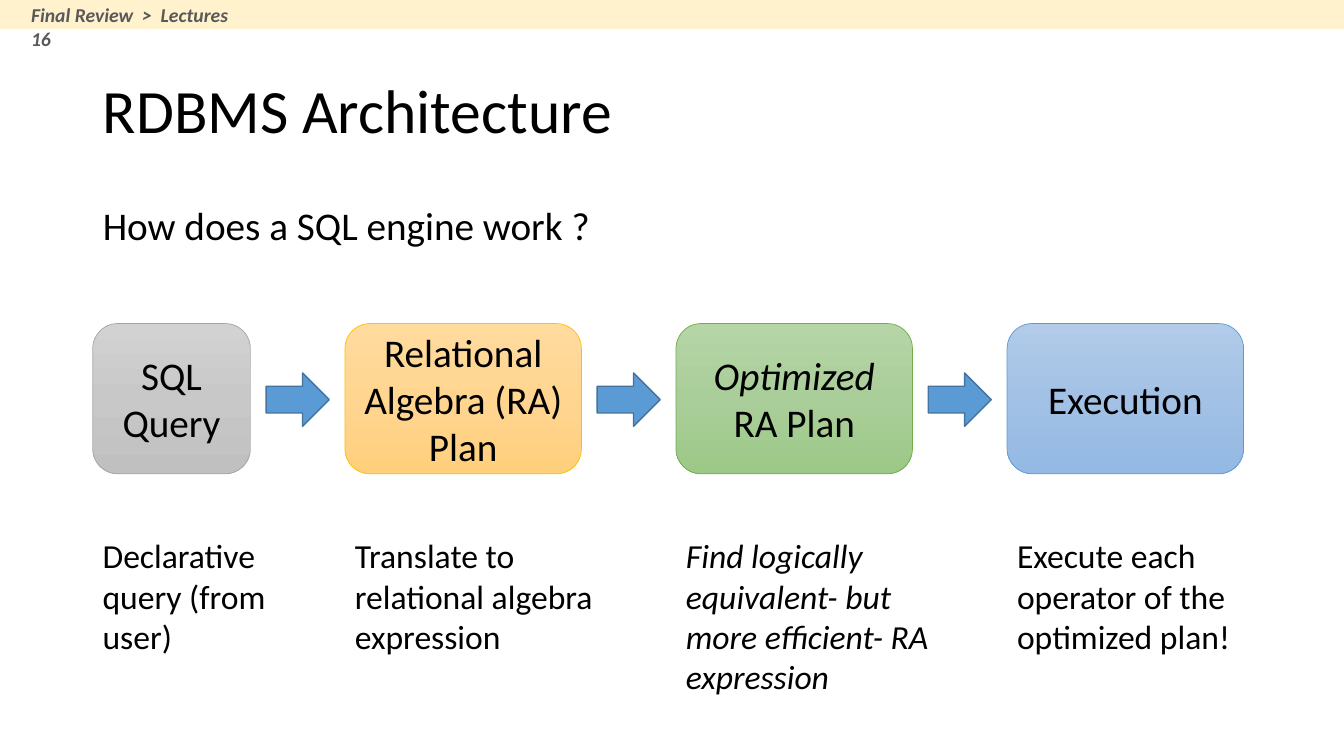
from copy import deepcopy
from dataclasses import dataclass

from pptx import Presentation
from pptx.dml.color import RGBColor
from pptx.enum.shapes import MSO_SHAPE as Preset
from pptx.enum.text import MSO_ANCHOR as Anchor, MSO_AUTO_SIZE as AutoSize, PP_ALIGN as Align
from pptx.oxml.ns import qn
from pptx.util import Emu, Inches, Pt


@dataclass(frozen=True)
class Theme:
    font: str = "Calibri"
    ink: str = "000000"
    header_ink: str = "595959"
    header_fill: str = "FFF2CC"
    arrow_fill: str = "5B9BD5"
    arrow_line: str = "43739E"
    title: int = 44
    body: int = 28
    caption: int = 24
    header: int = 14


@dataclass(frozen=True)
class Area:
    """A place on the grid, in columns and rows."""
    left: float
    top: float
    width: float
    height: float

    def emu(self) -> tuple:
        return (Emu(round(self.left * COL)), Emu(round(self.top * ROW)),
                Emu(round(self.width * COL)), Emu(round(self.height * ROW)))


@dataclass(frozen=True)
class Stage:
    spans: tuple  # (text, italic) pairs
    columns: float
    gradient: tuple
    line: str
    caption: str
    caption_columns: float
    caption_rows: float = 13.1
    caption_italic: bool = False


THEME = Theme()
WIDTH, HEIGHT = Inches(13.333), Inches(7.5)
COL, ROW = WIDTH / 85.25, HEIGHT / 75
MARGIN = 5.88
CONTENT = 73.53
GAP, ARROW_OFFSET, ARROW_COLUMNS = 6, 1, 4

STAGES = (
    Stage((("SQL Query", False),), 10, ("D2D2D2", "C8C8C8", "C0C0C0"), "A5A5A5",
          "Declarative query (from user)", 12.72),
    Stage((("Relational Algebra (RA) Plan", False),), 15,
          ("FFDB9E", "FFD590", "FFD07C"), "FFC000",
          "Translate to relational algebra expression", 17.26),
    Stage((("Optimized", True), (" RA Plan", False)), 15,
          ("B5D5A7", "AACE9A", "9CC987"), "70AD47",
          "Find logically equivalent- but more efficient- RA expression", 17.26,
          caption_rows=17.2, caption_italic=True),
    Stage((("Execution", False),), 15, ("B1CBE9", "A3C1E5", "93B9E4"), "5B9BD5",
          "Execute each operator of the optimized plan!", 17.26),
)


def write(box, spans, *, size: int, color: str = THEME.ink, bold: bool = False,
          align=Align.LEFT, anchor=Anchor.TOP, fit=AutoSize.NONE, line_spacing: float = 1.0,
          space_before: float = 0):
    """Fill a shape with one paragraph of (text, italic) spans."""
    frame = box.text_frame
    frame.word_wrap = True
    frame.auto_size = fit
    frame.vertical_anchor = anchor
    para = frame.paragraphs[0]
    para.alignment = align
    para.line_spacing = line_spacing
    para.space_before = Pt(space_before)
    for text, italic in spans:
        span = para.add_run()
        span.text = text
        font = span.font
        font.name, font.size, font.bold, font.italic = THEME.font, Pt(size), bold, italic
        font.color.rgb = RGBColor.from_string(color)
    return para


def add_preset(page, preset, area: Area, fill: str | tuple, line: str | None = None,
               weight: float = 1):
    """Draw a preset shape with a plain fill or a downward gradient."""
    box = page.shapes.add_shape(preset, *area.emu())
    box.shadow.inherit = False
    if isinstance(fill, str):
        box.fill.solid()
        box.fill.fore_color.rgb = RGBColor.from_string(fill)
    else:
        box.fill.gradient()
        box.fill.gradient_angle = 270
        stops = box._element.spPr.find(f".//{qn('a:gsLst')}")
        stops.insert(1, deepcopy(stops[0]))
        for index, (stop, color) in enumerate(zip(box.fill.gradient_stops, fill)):
            stop.position = index / (len(fill) - 1)
            stop.color.rgb = RGBColor.from_string(color)
    if line:
        box.line.color.rgb = RGBColor.from_string(line)
        box.line.width = Pt(weight)
    else:
        box.line.fill.background()
    return box


def add_text(page, area: Area, text: str, *, italic: bool = False, **style) -> None:
    box = page.shapes.add_textbox(*area.emu())
    write(box, ((text, italic),), fit=AutoSize.SHAPE_TO_FIT_TEXT, **style)


def fill_placeholder(box, area: Area, text: str, **style):
    box.left, box.top, box.width, box.height = area.emu()
    return write(box, ((text, False),), line_spacing=0.9, **style)


def add_stage(page, stage: Stage, left: float) -> None:
    box = add_preset(page, Preset.ROUNDED_RECTANGLE, Area(left, 32.1, stage.columns, 14.9),
                     stage.gradient, stage.line, 0.5)
    write(box, stage.spans, size=THEME.body, align=Align.CENTER, anchor=Anchor.MIDDLE)
    add_text(page, Area(left, 52.6, stage.caption_columns, stage.caption_rows),
             stage.caption, italic=stage.caption_italic, size=THEME.caption)


def main() -> None:
    deck = Presentation()
    deck.slide_width, deck.slide_height = WIDTH, HEIGHT
    page = deck.slides.add_slide(deck.slide_layouts[1])

    # Title and question
    title, body = page.placeholders
    fill_placeholder(title, Area(MARGIN, 4, CONTENT, 14.5), "RDBMS Architecture",
                     size=THEME.title, anchor=Anchor.MIDDLE)
    question = fill_placeholder(body, Area(MARGIN, 20, CONTENT, 6.6),
                                "How does a SQL engine work ?",
                                size=THEME.body, space_before=10)
    props = question._p.get_or_add_pPr()
    props.set("marL", str(Inches(0.25)))
    props.set("indent", str(Inches(-0.25)))
    props.append(props.makeelement(qn("a:buNone"), {}))

    # Stages from left to right, joined by arrows
    left = MARGIN
    for stage in STAGES:
        add_stage(page, stage, left)
        left += stage.columns + GAP
        if stage is not STAGES[-1]:
            add_preset(page, Preset.RIGHT_ARROW,
                       Area(left - GAP + ARROW_OFFSET, 37, ARROW_COLUMNS, 5.3),
                       THEME.arrow_fill, THEME.arrow_line)

    # Header strip
    add_preset(page, Preset.RECTANGLE, Area(0, 0, 85.25, 2.9), THEME.header_fill)
    add_text(page, Area(1.34, -0.2, 15.03, 3.4), "Final Review  >  Lectures 16",
             size=THEME.header, color=THEME.header_ink, bold=True, italic=True)

    deck.save("out.pptx")


if __name__ == "__main__":
    main()
